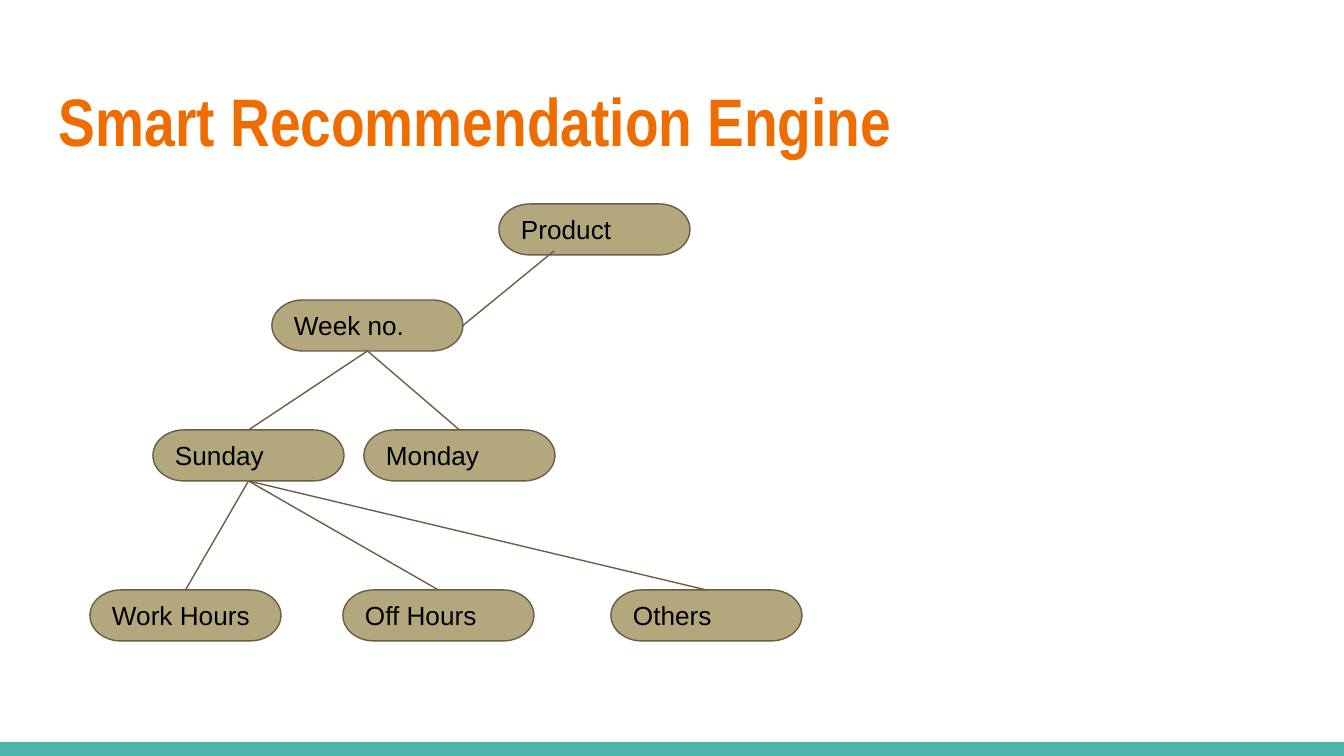
from lxml import etree
from pptx import Presentation
from pptx.dml.color import RGBColor
from pptx.enum.shapes import MSO_CONNECTOR, MSO_SHAPE
from pptx.enum.text import MSO_ANCHOR, MSO_AUTO_SIZE, PP_ALIGN
from pptx.oxml.ns import qn
from pptx.util import Pt

TERMINATOR, RECTANGLE = MSO_SHAPE.FLOWCHART_TERMINATOR, MSO_SHAPE.RECTANGLE
STRAIGHT = MSO_CONNECTOR.STRAIGHT
TOP, MIDDLE = MSO_ANCHOR.TOP, MSO_ANCHOR.MIDDLE
NO_FIT, LEFT = MSO_AUTO_SIZE.NONE, PP_ALIGN.LEFT
TOP_SIDE, BOTTOM_SIDE, RIGHT_SIDE = 0, 2, 3

COLOURS = {"title": "EF6C00", "bar": "4DB6AC", "node": "B3A77D",
           "outline": "695D46", "text": "000000"}
TITLE = "Smart Recommendation Engine"
TITLE_BOX = (46, 66, 1253, 103)
BAR_BOX = (0, 742, 1344, 14)
NODE_WIDTH, NODE_HEIGHT = 191, 51
LEVELS = [
    (204, [("Product", 499)]),
    (300, [("Week no.", 272)]),
    (430, [("Sunday", 153), ("Monday", 364)]),
    (590, [("Work Hours", 90), ("Off Hours", 343), ("Others", 611)]),
]
BRANCHES = {"Week no.": ["Sunday", "Monday"],
            "Sunday": ["Work Hours", "Off Hours", "Others"]}
PRODUCT_LINK_START = (554, 251)
TITLE_FONT = {"name": "Arial Narrow", "size": Pt(36), "bold": True}
NODE_FONT = {"name": "Arial", "size": Pt(14), "bold": False}
EMU_PER_INCH, PX_PER_INCH = 914400, 134.4


def px(value):
    return round(value * EMU_PER_INCH / PX_PER_INCH)


def set_all(target, values):
    for name, value in values.items():
        setattr(target, name, value)


def colour(name):
    return RGBColor.from_string(COLOURS[name])


def write(shape, text, font, colour_name, anchor):
    frame = shape.text_frame
    frame.text = text
    margins = {f"margin_{side}": px(13) for side in ("left", "top", "right", "bottom")}
    set_all(frame, {**margins, "word_wrap": True, "auto_size": NO_FIT,
                    "vertical_anchor": anchor})
    paragraph = frame.paragraphs[0]
    paragraph.alignment = LEFT
    set_all(paragraph.runs[0].font, font)
    paragraph.runs[0].font.color.rgb = colour(colour_name)


def outline(line):
    line.color.rgb = colour("outline")
    line.width = Pt(0.75)


def add_filled(slide, kind, box, fill):
    shape = slide.shapes.add_shape(kind, *map(px, box))
    shape.shadow.inherit = False
    shape.fill.solid()
    shape.fill.fore_color.rgb = colour(fill)
    return shape


def add_node(slide, text, left, top):
    node = add_filled(slide, TERMINATOR, (left, top, NODE_WIDTH, NODE_HEIGHT), "node")
    outline(node.line)
    write(node, text, NODE_FONT, "text", MIDDLE)
    return node


def add_link(slide, start=(0, 0)):
    x, y = map(px, start)
    link = slide.shapes.add_connector(STRAIGHT, x, y, x, y)
    outline(link.line)
    etree.SubElement(link._element.spPr, qn("a:effectLst"))
    return link


def main():
    presentation = Presentation()
    set_all(presentation, {"slide_width": px(1344), "slide_height": px(756)})
    slide = presentation.slides.add_slide(presentation.slide_layouts[5])

    bar = add_filled(slide, RECTANGLE, BAR_BOX, "bar")
    bar.line.fill.background()

    title = slide.shapes.title
    set_all(title, dict(zip(("left", "top", "width", "height"), map(px, TITLE_BOX))))
    write(title, TITLE, TITLE_FONT, "title", TOP)

    nodes = {text: add_node(slide, text, left, top)
             for top, row in LEVELS for text, left in row}

    product_link = add_link(slide, PRODUCT_LINK_START)
    product_link.end_connect(nodes["Week no."], RIGHT_SIDE)
    for parent, children in BRANCHES.items():
        for child in children:
            link = add_link(slide)
            link.begin_connect(nodes[parent], BOTTOM_SIDE)
            link.end_connect(nodes[child], TOP_SIDE)

    presentation.save("out.pptx")


if __name__ == "__main__":
    main()
